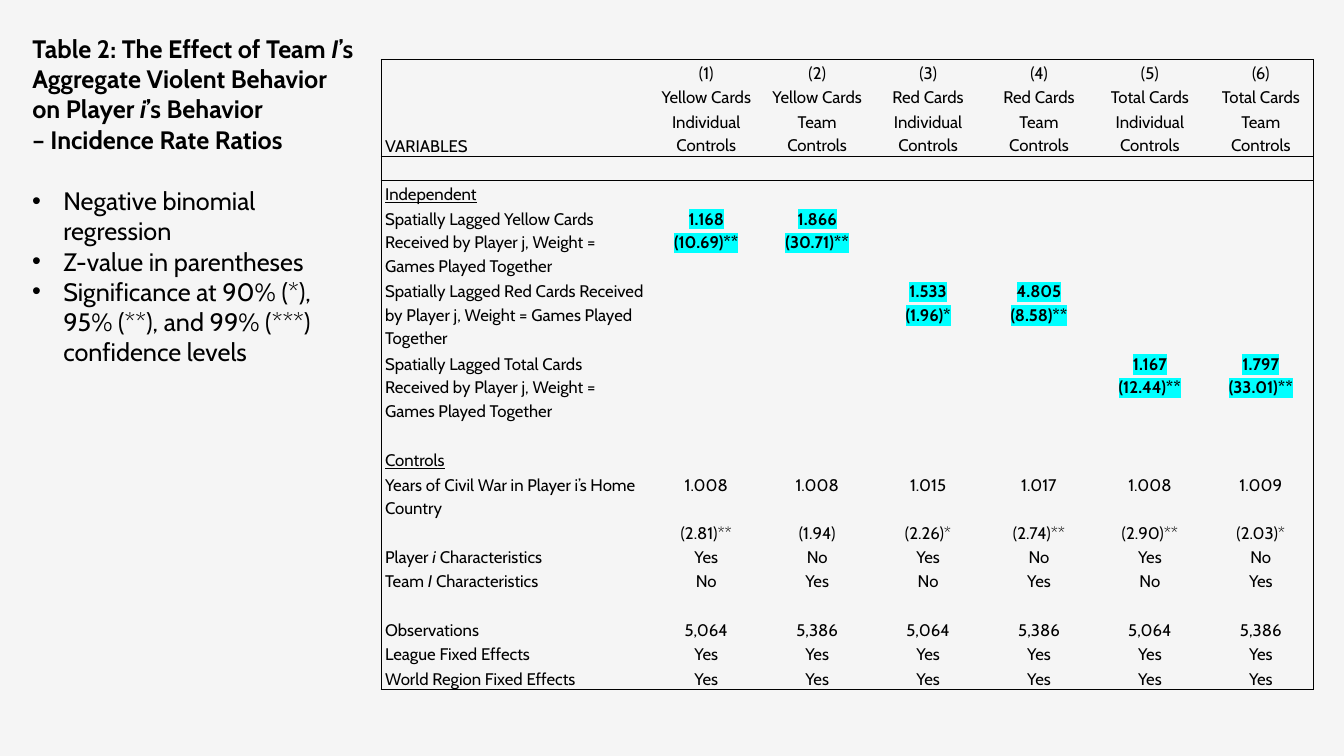
from lxml import etree
from pptx import Presentation
from pptx.dml.color import RGBColor
from pptx.enum.text import MSO_ANCHOR, MSO_AUTO_SIZE, PP_ALIGN
from pptx.oxml.ns import qn
from pptx.util import Inches, Pt

LEFT, CENTER = PP_ALIGN.LEFT, PP_ALIGN.CENTER
TOP, BOTTOM = MSO_ANCHOR.TOP, MSO_ANCHOR.BOTTOM
NO_AUTOFIT = MSO_AUTO_SIZE.NONE
BLACK = RGBColor(0x00, 0x00, 0x00)
PAPER = RGBColor(0xF5, 0xF5, 0xF5)
CYAN = RGBColor(0x00, 0xFF, 0xFF)
NO_GRID_STYLE = "{2D5ABB26-0587-4C30-8999-92F81FD0307C}"

# Wording: underscores enclose italics, a line break starts a paragraph
TITLE = ("Table 2: The Effect of Team _I_’s Aggregate Violent Behavior "
         "on Player _i_’s Behavior\n– Incidence Rate Ratios")
NOTES = ("Negative binomial regression\nZ-value in parentheses\n"
         "Significance at 90% (*), 95% (**), and 99% (***) confidence levels")


def lagged(cards):
    return (f"Spatially Lagged {cards} Cards Received by Player j, "
            "Weight = Games Played Together")


BLANK = [""] * 7
RESULTS = [
    ["", "(1)", "(2)", "(3)", "(4)", "(5)", "(6)"],
    ["", *["Yellow Cards"] * 2, *["Red Cards"] * 2, *["Total Cards"] * 2],
    ["VARIABLES", *["Individual Controls", "Team Controls"] * 3],
    BLANK,
    ["Independent", *[""] * 6],
    [lagged("Yellow"), "1.168\n(10.69)**", "1.866\n(30.71)**", *[""] * 4],
    [lagged("Red"), "", "", "1.533\n(1.96)*", "4.805\n(8.58)**", "", ""],
    [lagged("Total"), *[""] * 4, "1.167\n(12.44)**", "1.797\n(33.01)**"],
    BLANK,
    ["Controls", *[""] * 6],
    ["Years of Civil War in Player i’s Home Country",
     "1.008", "1.008", "1.015", "1.017", "1.008", "1.009"],
    ["", "(2.81)**", "(1.94)", "(2.26)*", "(2.74)**", "(2.90)**", "(2.03)*"],
    ["Player _i_ Characteristics", *["Yes", "No"] * 3],
    ["Team _I_ Characteristics", *["No", "Yes"] * 3],
    BLANK,
    ["Observations", *["5,064", "5,386"] * 3],
    ["League Fixed Effects", *["Yes"] * 6],
    ["World Region Fixed Effects", *["Yes"] * 6],
]
HEADER_ROW = 2
LAST_ROW, LAST_COLUMN = len(RESULTS) - 1, 6
SECTIONS = ("Independent", "Controls")
LINE_HEIGHT = 0.24
ROW_LINES = {2: 2, 5: 3, 6: 3, 7: 3, 10: 2}
COLUMN_WIDTHS = [2.65] + [1.15, 1.05] * 3


class RegressionSlide:
    font = "Cabin"

    def __init__(self, presentation):
        self.slide = presentation.slides.add_slide(presentation.slide_layouts[5])
        background = self.slide.background.fill
        background.solid()
        background.fore_color.rgb = PAPER

    def add_text(self, frame, text, size, align=LEFT, spacing=1.0,
                 bold=False, underline=False, highlight=None):
        for number, line in enumerate(text.split("\n")):
            paragraph = frame.add_paragraph() if number else frame.paragraphs[0]
            paragraph.alignment = align
            paragraph.line_spacing = spacing
            for piece, words in enumerate(line.split("_")):
                if not words:
                    continue
                run = paragraph.add_run()
                run.text = words
                run.font.size = Pt(size)
                run.font.color.rgb = BLACK
                run.font.name = self.font
                run.font.bold = bold
                run.font.italic = piece % 2 == 1
                run.font.underline = underline
                if highlight is not None:
                    self.mark(run, highlight)
            if not line:
                etree.SubElement(paragraph._p, qn("a:endParaRPr"), sz=str(size * 100))

    def mark(self, run, color):
        latin = run._r.rPr.find(qn("a:latin"))
        highlight = etree.Element(qn("a:highlight"))
        etree.SubElement(highlight, qn("a:srgbClr"), val=str(color))
        latin.addprevious(highlight)

    def prepare(self, shape, left, top, width, height):
        shape.left, shape.top = Inches(left), Inches(top)
        shape.width, shape.height = Inches(width), Inches(height)
        frame = shape.text_frame
        frame.word_wrap = True
        frame.auto_size = NO_AUTOFIT
        frame.vertical_anchor = TOP
        return frame

    def title(self, text, *place):
        frame = self.prepare(self.slide.shapes.title, *place)
        self.add_text(frame, text, 18, bold=True)

    def bullets(self, text, *place):
        box = self.slide.shapes.add_textbox(0, 0, 0, 0)
        frame = self.prepare(box, *place)
        self.add_text(frame, text, 18)
        indent = Inches(0.31)
        for paragraph in frame.paragraphs:
            properties = paragraph._p.get_or_add_pPr()
            properties.set("marL", str(indent))
            properties.set("indent", str(-indent))
            etree.SubElement(properties, qn("a:buFont"), typeface="Arial")
            etree.SubElement(properties, qn("a:buChar"), char="•")

    def borders(self, cell, sides):
        properties = cell._tc.get_or_add_tcPr()
        for side in sides:
            line = etree.SubElement(properties, qn(f"a:ln{side}"), w=str(Pt(1)))
            fill = etree.SubElement(line, qn("a:solidFill"))
            etree.SubElement(fill, qn("a:srgbClr"), val=str(BLACK))

    def results_table(self, left, top):
        heights = [LINE_HEIGHT * ROW_LINES.get(r, 1) for r in range(len(RESULTS))]
        table = self.slide.shapes.add_table(
            len(RESULTS), len(COLUMN_WIDTHS), Inches(left), Inches(top),
            Inches(sum(COLUMN_WIDTHS)), Inches(sum(heights))).table
        table.first_row = table.horz_banding = False
        table._tbl.tblPr.find(qn("a:tableStyleId")).text = NO_GRID_STYLE
        for column, width in zip(table.columns, COLUMN_WIDTHS):
            column.width = Inches(width)
        for row, height in zip(table.rows, heights):
            row.height = Inches(height)
        for r, values in enumerate(RESULTS):
            for c, text in enumerate(values):
                self.result_cell(table.cell(r, c), r, c, text)

    def result_cell(self, cell, r, c, text):
        edges = {"L": c == 0, "R": c == LAST_COLUMN,
                 "T": r in (0, HEADER_ROW + 1), "B": r in (HEADER_ROW, LAST_ROW)}
        self.borders(cell, [side for side, drawn in edges.items() if drawn])
        cell.fill.solid()
        cell.fill.fore_color.rgb = PAPER
        cell.margin_left = cell.margin_right = Inches(0.04)
        cell.margin_top, cell.margin_bottom = Inches(0.01), 0
        cell.vertical_anchor = BOTTOM if text == "VARIABLES" else TOP
        key_result = "\n" in text
        self.add_text(cell.text_frame, text, 12,
                      align=CENTER if c else LEFT,
                      spacing=1.15 if r in ROW_LINES and text else Pt(16.6),
                      bold=key_result, underline=text in SECTIONS,
                      highlight=CYAN if key_result else None)


def main():
    presentation = Presentation()
    presentation.slide_width = Inches(13.33)
    presentation.slide_height = Inches(7.5)
    page = RegressionSlide(presentation)

    # Regression results
    page.results_table(3.78, 0.59)

    # Heading and reading notes
    page.title(TITLE, 0.22, 0.28, 3.43, 1.4)
    page.bullets(NOTES, 0.22, 1.79, 3.43, 1.92)

    presentation.save("out.pptx")


if __name__ == "__main__":
    main()
